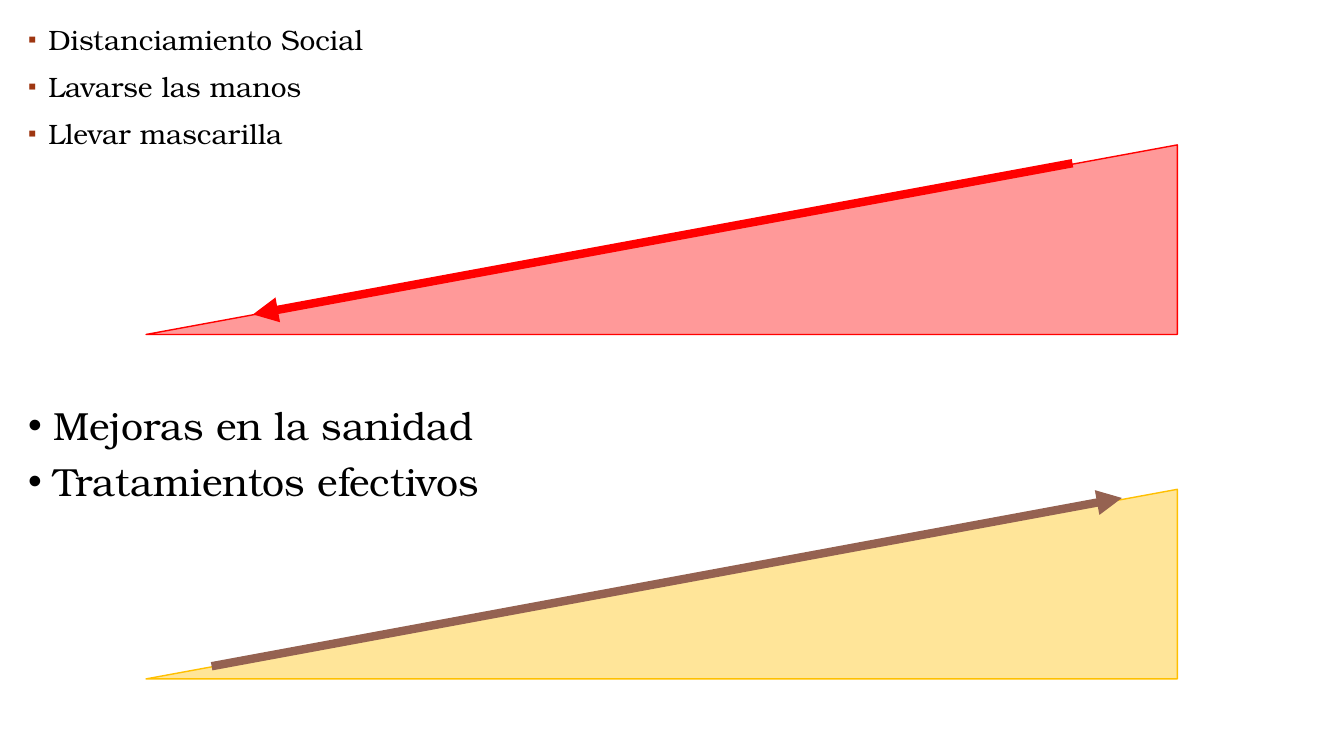
"""Build a slide with two bullet lists, each above a wedge and an arrow."""
from lxml import etree
from pptx import Presentation
from pptx.dml.color import RGBColor
from pptx.enum import shapes, text
from pptx.oxml import ns
from pptx.util import Pt

FONT = "TeX Gyre Bonum"
COLORS = {"text": "000000", "bullet": "9E3611", "red": "FF0000",
          "gold": "FFC000", "brown": "956251"}
LEFT, LIST_WIDTH, LIST_HEIGHT = 13, 828, 125.3
WEDGE_LEFT, WEDGE_WIDTH, WEDGE_HEIGHT = 104.4, 736.6, 135.4


def rgb(name):
    return RGBColor.from_string(COLORS[name])


def add_element(parent, tag, **attributes):
    return etree.SubElement(parent, ns.qn(tag), attributes)


def add_bullet(paragraph, character, indent, color=None, percent=100):
    properties = paragraph._p.get_or_add_pPr()
    properties.set("marL", str(Pt(indent)))
    properties.set("indent", str(-Pt(indent)))
    if color:
        fill = add_element(properties, "a:buClr")
        add_element(fill, "a:srgbClr", val=COLORS[color])
    add_element(properties, "a:buSzPct", val=str(percent * 1000))
    add_element(properties, "a:buFont", typeface="Arial")
    add_element(properties, "a:buChar", char=character)


def add_list(slide, top, items, size, gap, **bullet):
    shape = slide.shapes.add_textbox(Pt(LEFT), Pt(top), Pt(LIST_WIDTH), Pt(LIST_HEIGHT))
    frame = shape.text_frame
    frame.word_wrap = True
    frame.vertical_anchor = text.MSO_ANCHOR.TOP
    for index, item in enumerate(items):
        paragraph = frame.add_paragraph() if index else frame.paragraphs[0]
        paragraph.text = item
        add_bullet(paragraph, **bullet)
        paragraph.line_spacing = 0.9
        paragraph.space_before = Pt(gap if index else 0)
        paragraph.font.name = FONT
        paragraph.font.size = Pt(size)
        paragraph.font.color.rgb = rgb("text")


def add_wedge(slide, top, color):
    shape = slide.shapes.add_shape(
        shapes.MSO_SHAPE.RIGHT_TRIANGLE, Pt(WEDGE_LEFT), Pt(top),
        Pt(WEDGE_WIDTH), Pt(WEDGE_HEIGHT))
    shape.shadow.inherit = False
    shape._element.spPr.find(ns.qn("a:xfrm")).set("flipH", "1")
    shape.fill.solid()
    shape.fill.fore_color.rgb = rgb(color)
    fill_color = shape._element.spPr.find(
        ns.qn("a:solidFill")).find(ns.qn("a:srgbClr"))
    add_element(fill_color, "a:alpha", val="40000")
    shape.line.color.rgb = rgb(color)
    shape.line.width = Pt(1)


def add_arrow(slide, start, end, color):
    connector = slide.shapes.add_connector(
        shapes.MSO_CONNECTOR.STRAIGHT, *map(Pt, start + end))
    connector.line.color.rgb = rgb(color)
    connector.line.width = Pt(6)
    add_element(connector.line._get_or_add_ln(), "a:tailEnd", type="triangle")
    add_element(connector._element.spPr, "a:effectLst")


def main():
    presentation = Presentation()
    presentation.slide_width, presentation.slide_height = Pt(960), Pt(540)
    slide = presentation.slides.add_slide(presentation.slide_layouts[6])
    add_list(slide, 15.1,
             ["Distanciamiento Social", "Lavarse las manos", "Llevar mascarilla"],
             size=20, gap=12, character="▪", indent=14.4, color="bullet", percent=85)
    add_wedge(slide, 103.5, "red")
    add_wedge(slide, 349.5, "gold")
    add_arrow(slide, (766.1, 116.6), (180.7, 224.6), "red")
    add_list(slide, 286.6, ["Mejoras en la sanidad", "Tratamientos efectivos"],
             size=28, gap=10, character="•", indent=18)
    add_arrow(slide, (151.2, 475.9), (801.4, 355.7), "brown")
    presentation.save("out.pptx")


if __name__ == "__main__":
    main()
